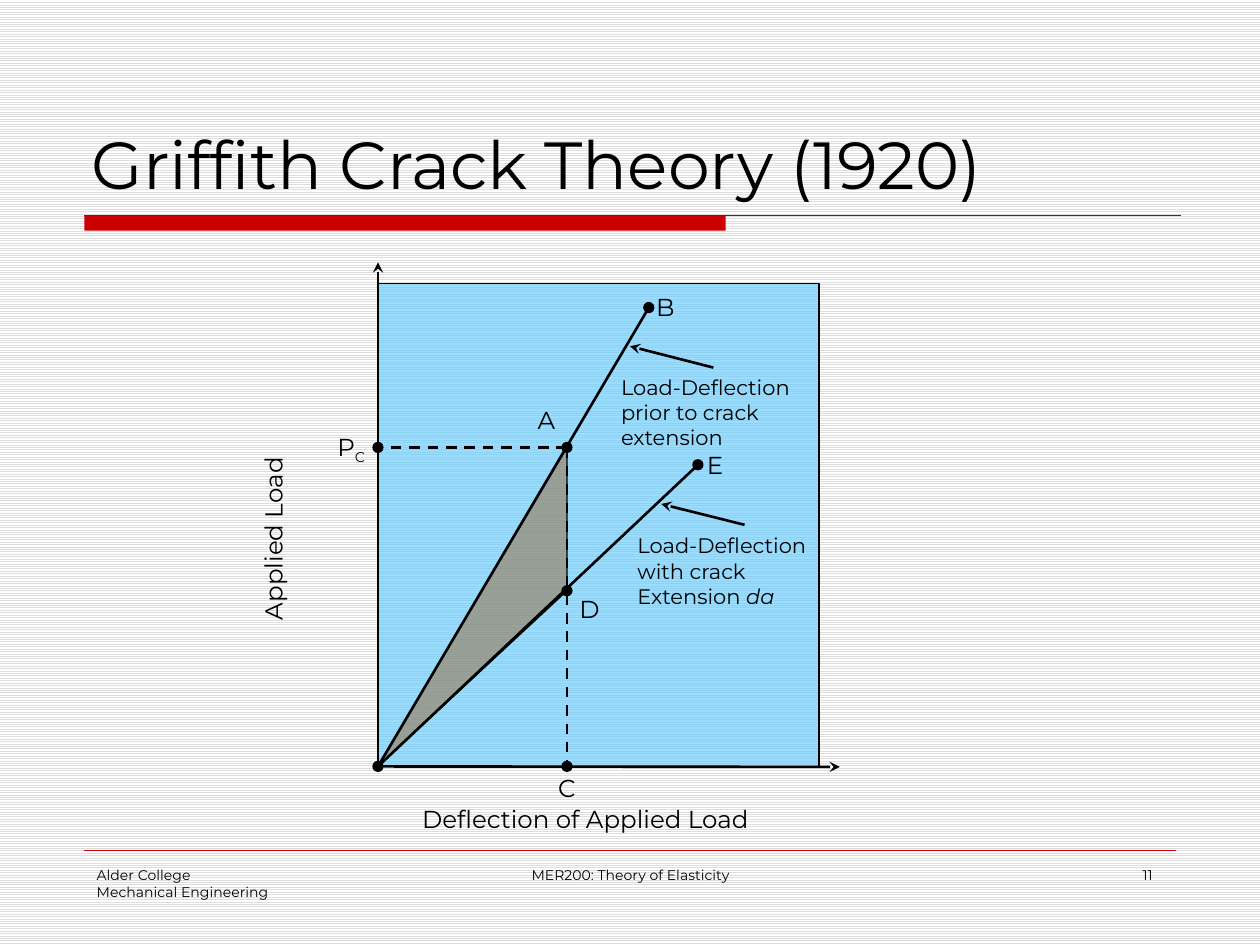
from dataclasses import dataclass

from lxml import etree
from pptx import Presentation
from pptx.dml.color import RGBColor
from pptx.enum.dml import MSO_LINE, MSO_PATTERN
from pptx.enum.shapes import MSO_CONNECTOR, MSO_SHAPE
from pptx.enum.text import MSO_ANCHOR, MSO_AUTO_SIZE, PP_ALIGN
from pptx.oxml.ns import qn
from pptx.util import Cm, Pt

STRAIGHT = MSO_CONNECTOR.STRAIGHT
RECTANGLE, OVAL = MSO_SHAPE.RECTANGLE, MSO_SHAPE.OVAL
DASH = MSO_LINE.DASH
LIGHT_HORIZONTAL = MSO_PATTERN.LIGHT_HORIZONTAL
LEFT, CENTER, RIGHT = PP_ALIGN.LEFT, PP_ALIGN.CENTER, PP_ALIGN.RIGHT
TOP, BOTTOM = MSO_ANCHOR.TOP, MSO_ANCHOR.BOTTOM
FIT_TEXT, NO_FIT = MSO_AUTO_SIZE.SHAPE_TO_FIT_TEXT, MSO_AUTO_SIZE.NONE

FONT = "Montserrat"
BLACK, RED = "000000", "CC0000"
DOT = 0.2


@dataclass
class Run:
    text: str
    italic: bool = False
    baseline: int = 0


@dataclass
class Label:
    left: float
    top: float
    width: float
    height: float
    size: float
    paragraphs: list[list[Run]]
    align: PP_ALIGN = LEFT
    anchor: MSO_ANCHOR = TOP
    wrap: bool = False
    rotation: float = 0


@dataclass
class Stroke:
    start: tuple[float, float]
    end: tuple[float, float]
    color: str = BLACK
    width: float = 1.5
    dashed: bool = False
    arrow: bool = False


def rgb(value: str) -> RGBColor:
    return RGBColor.from_string(value)


def paint(shape, fill: str, line_width: float | None = None, opacity: int = 100) -> None:
    shape.shadow.inherit = False
    shape.fill.solid()
    shape.fill.fore_color.rgb = rgb(fill)
    if opacity < 100:
        color = shape._element.spPr.find(qn("a:solidFill"))[0]
        etree.SubElement(color, qn("a:alpha"), val=str(opacity * 1000))
    if line_width is None:
        shape.line.fill.background()
    else:
        shape.line.color.rgb = rgb(BLACK)
        shape.line.width = Pt(line_width)


def add_box(shapes, kind, left: float, top: float, width: float, height: float):
    return shapes.add_shape(kind, Cm(left), Cm(top), Cm(width), Cm(height))


def add_dot(shapes, center: tuple[float, float]) -> None:
    x, y = center
    paint(add_box(shapes, OVAL, x - DOT / 2, y - DOT / 2, DOT, DOT), BLACK, 0.75)


def add_stroke(shapes, stroke: Stroke) -> None:
    ends = [Cm(value) for value in (*stroke.start, *stroke.end)]
    connector = shapes.add_connector(STRAIGHT, *ends)
    connector.line.color.rgb = rgb(stroke.color)
    connector.line.width = Pt(stroke.width)
    if stroke.dashed:
        connector.line.dash_style = DASH
    properties = connector._element.spPr
    if stroke.arrow:
        etree.SubElement(properties.find(qn("a:ln")), qn("a:tailEnd"), type="stealth")
    etree.SubElement(properties, qn("a:effectLst"))


def add_label(shapes, label: Label) -> None:
    box = shapes.add_textbox(Cm(label.left), Cm(label.top), Cm(label.width), Cm(label.height))
    box.rotation = label.rotation
    frame = box.text_frame
    frame.word_wrap = label.wrap
    frame.auto_size = NO_FIT if label.wrap else FIT_TEXT
    frame.vertical_anchor = label.anchor
    for index, runs in enumerate(label.paragraphs):
        paragraph = frame.add_paragraph() if index else frame.paragraphs[0]
        paragraph.alignment = label.align
        for part in runs:
            run = paragraph.add_run()
            run.text = part.text
            run.font.name = FONT
            run.font.size = Pt(label.size)
            run.font.color.rgb = rgb(BLACK)
            if part.italic:
                run.font.italic = True
            if part.baseline:
                run.font._element.set("baseline", str(part.baseline * 1000))


def add_area(shapes, corners: list[tuple[float, float]]) -> None:
    points = [(Cm(x), Cm(y)) for x, y in corners]
    builder = shapes.build_freeform(*points[0])
    builder.add_line_segments(points[1:], close=True)
    paint(builder.convert_to_shape(), "996633", 0, 50)


ORIGIN = (7.62, 15.45)
POINT_A, POINT_D, POINT_C = (11.43, 9.02), (11.43, 11.91), (11.43, 15.45)
POINT_B, POINT_E = (13.08, 6.2), (14.07, 9.37)
CRITICAL_LOAD = (7.62, 9.02)

STROKES = [
    Stroke(ORIGIN, (7.62, 5.29), arrow=True),
    Stroke(ORIGIN, (16.93, 15.46), arrow=True),
    Stroke(POINT_A, POINT_C, dashed=True),
    Stroke(POINT_A, CRITICAL_LOAD, dashed=True),
    Stroke(ORIGIN, POINT_B),
    Stroke(ORIGIN, POINT_E),
    Stroke((14.38, 7.41), (12.7, 6.98), arrow=True),
    Stroke((15.01, 10.58), (13.33, 10.16), arrow=True),
]

POINT_NAMES = [("A", 10.59, 8.05), ("B", 12.98, 5.77), ("E", 14, 8.94),
               ("D", 11.43, 11.86), ("C", 11, 15.45)]

LABELS = [
    Label(1.6, 0.84, 22.23, 3.38, 38, [[Run("Griffith Crack Theory (1920)")]],
          anchor=BOTTOM, wrap=True),
    Label(1.7, 17.35, 5.28, 1.27, 8,
          [[Run("Alder College")], [Run("Mechanical Engineering")]], wrap=True),
    Label(8.69, 17.35, 8.05, 1.27, 8, [[Run("MER200: Theory of Elasticity")]],
          align=CENTER, wrap=True),
    Label(18.21, 17.35, 5.28, 1.27, 8, [[Run("11")]], align=RIGHT, wrap=True),
    Label(3.48, 10.29, 4.06, 0.86, 14, [[Run("Applied Load")]], rotation=270),
    Label(8.26, 16.08, 7.77, 0.86, 14, [[Run("Deflection of Applied Load")]]),
    Label(6.55, 8.59, 1.14, 0.86, 14, [[Run("P"), Run("C", baseline=-25)]]),
    Label(12.27, 7.42, 4.19, 1.8, 12,
          [[Run("Load-Deflection")], [Run("prior to crack")], [Run("extension")]]),
    Label(12.6, 10.62, 4.19, 1.8, 12,
          [[Run("Load-Deflection")], [Run("with crack")],
           [Run("Extension "), Run("da", italic=True)]]),
    *(Label(left, top, 0.89, 0.86, 14, [[Run(name)]]) for name, left, top in POINT_NAMES),
]

presentation = Presentation()
presentation.slide_width, presentation.slide_height = Cm(25.4), Cm(19.05)
slide = presentation.slides.add_slide(presentation.slide_layouts[6])
shapes = slide.shapes

backdrop = slide.background.fill
backdrop.patterned()
backdrop.pattern = LIGHT_HORIZONTAL
backdrop.fore_color.rgb = rgb("DDDDDD")
backdrop.back_color.rgb = rgb("FFFFFF")

paint(add_box(shapes, RECTANGLE, 1.7, 4.34, 12.93, 0.31), RED)
add_stroke(shapes, Stroke((1.7, 4.34), (23.8, 4.34), "333333", 0.75))
add_stroke(shapes, Stroke((1.7, 17.14), (23.7, 17.14), RED, 0.25))

paint(add_box(shapes, RECTANGLE, 7.62, 5.71, 8.89, 9.74), "66CCFF", 0.75, 66)
add_area(shapes, [ORIGIN, POINT_A, POINT_D])
for stroke in STROKES:
    add_stroke(shapes, stroke)
for center in (ORIGIN, POINT_A, POINT_B, POINT_C, POINT_D, POINT_E, CRITICAL_LOAD):
    add_dot(shapes, center)
for label in LABELS:
    add_label(shapes, label)

presentation.save("out.pptx")
